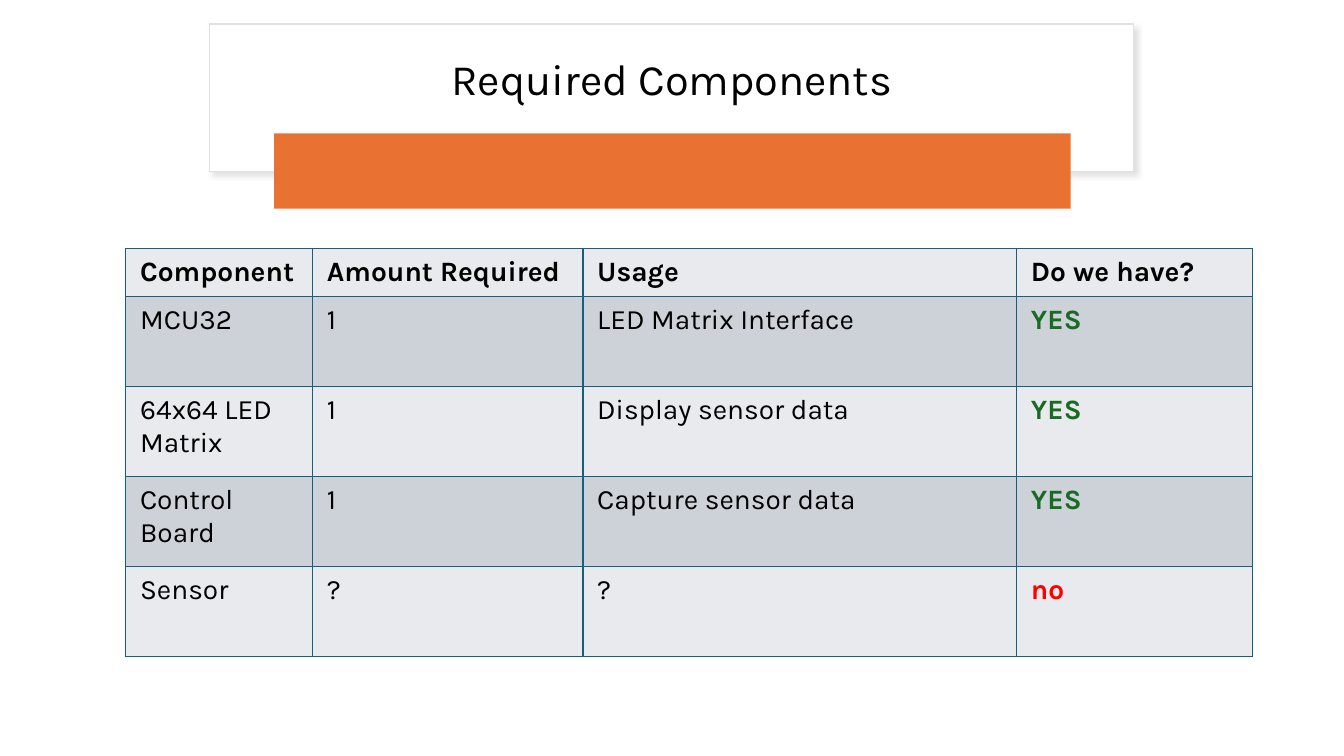
from lxml import etree
from pptx import Presentation
from pptx import util as u
from pptx.dml.color import RGBColor
from pptx.enum import shapes, text
from pptx.oxml import ns

BLACK, WHITE, ORANGE = "000000", "FFFFFF", "E97132"
GREEN, RED, TEAL = "196B24", "FF0000", "156082"
BANDS = ("E8EAED", "CCD2D8")
STATUS_COLOURS = {"YES": GREEN, "no": RED}

COLUMN_WIDTHS = (4.71, 6.81, 10.93, 5.95)
HEADER_HEIGHT, ROW_HEIGHT = 1.18, 2.27
COMPONENTS = (
    ("Component", "Amount Required", "Usage", "Do we have?"),
    ("MCU32", "1", "LED Matrix Interface", "YES"),
    ("64x64 LED Matrix", "1", "Display sensor data", "YES"),
    ("Control Board", "1", "Capture sensor data", "YES"),
    ("Sensor", "?", "?", "no"),
)


def colour(hex_value):
    return RGBColor.from_string(hex_value)


def apply(target, values):
    for name, value in values.items():
        setattr(target, name, value)


def child(parent, tag, **attributes):
    return etree.SubElement(parent, ns.qn(tag), attributes)


def write(paragraph, wording, size, hex_value, bold=False):
    run = paragraph.add_run()
    run.text = wording
    apply(run.font, {"name": "Karla", "size": u.Pt(size), "bold": bold})
    run.font.color.rgb = colour(hex_value)


def add_panel(slide, box, fill, outline=None):
    panel = slide.shapes.add_shape(shapes.MSO_SHAPE.RECTANGLE, *map(u.Cm, box))
    panel.shadow.inherit = False
    panel.fill.solid()
    panel.fill.fore_color.rgb = colour(fill)
    if outline:
        panel.line.color.rgb = colour(outline)
        panel.line.width = u.Pt(1)
    else:
        panel.line.fill.background()
    return panel


def add_soft_shadow(panel):
    effects = panel.element.spPr.find(ns.qn("a:effectLst"))
    shadow = child(effects, "a:outerShdw", blurRad=str(u.Pt(4)), dist=str(u.Pt(3)),
                   dir="2700000", algn="tl", rotWithShape="0")
    tint = child(shadow, "a:srgbClr", val="C5C5C5")
    child(tint, "a:alpha", val="50000")


def add_title(slide, box, wording):
    frame = slide.shapes.add_textbox(*map(u.Cm, box)).text_frame
    apply(frame, {"word_wrap": True, "vertical_anchor": text.MSO_ANCHOR.MIDDLE})
    heading = frame.paragraphs[0]
    apply(heading, {"alignment": text.PP_ALIGN.CENTER, "line_spacing": 0.9})
    write(heading, wording, 31, BLACK)


def add_borders(cell):
    properties = cell._tc.get_or_add_tcPr()
    for side in ("a:lnL", "a:lnR", "a:lnT", "a:lnB"):
        border = child(properties, side, w=str(u.Pt(1)))
        child(child(border, "a:solidFill"), "a:srgbClr", val=TEAL)


def format_cell(cell, wording, band, hex_value, bold):
    apply(cell, {"margin_left": u.Cm(0.36), "margin_right": u.Cm(0.36),
                 "margin_top": u.Cm(0.18), "margin_bottom": u.Cm(0.18)})
    add_borders(cell)
    cell.fill.solid()
    cell.fill.fore_color.rgb = colour(band)
    write(cell.text_frame.paragraphs[0], wording, 20, hex_value, bold)


def add_component_table(slide, left, top):
    heights = [HEADER_HEIGHT] + [ROW_HEIGHT] * (len(COMPONENTS) - 1)
    table = slide.shapes.add_table(
        len(heights), len(COLUMN_WIDTHS), u.Cm(left), u.Cm(top),
        u.Cm(sum(COLUMN_WIDTHS)), u.Cm(sum(heights))).table
    for column, width in zip(table.columns, COLUMN_WIDTHS):
        column.width = u.Cm(width)
    for r, (entries, height) in enumerate(zip(COMPONENTS, heights)):
        table.rows[r].height = u.Cm(height)
        for c, wording in enumerate(entries):
            bold = r == 0 or wording in STATUS_COLOURS
            format_cell(table.cell(r, c), wording, BANDS[r % 2],
                        STATUS_COLOURS.get(wording, BLACK), bold)


def main():
    deck = Presentation()
    apply(deck, {"slide_width": u.Cm(33.87), "slide_height": u.Cm(19.05)})
    slide = deck.slides.add_slide(deck.slide_layouts[6])

    # Title card with accent bar
    title_card = add_panel(slide, (5.28, 0.61, 23.29, 3.71), WHITE, "E1E1E1")
    add_soft_shadow(title_card)
    add_title(slide, (5.84, 0.86, 22.17, 2.41), "Required Components")
    add_panel(slide, (6.91, 3.36, 20.07, 1.9), ORANGE)

    # Component checklist
    add_component_table(slide, 3.17, 6.26)

    deck.save("out.pptx")


if __name__ == "__main__":
    main()
